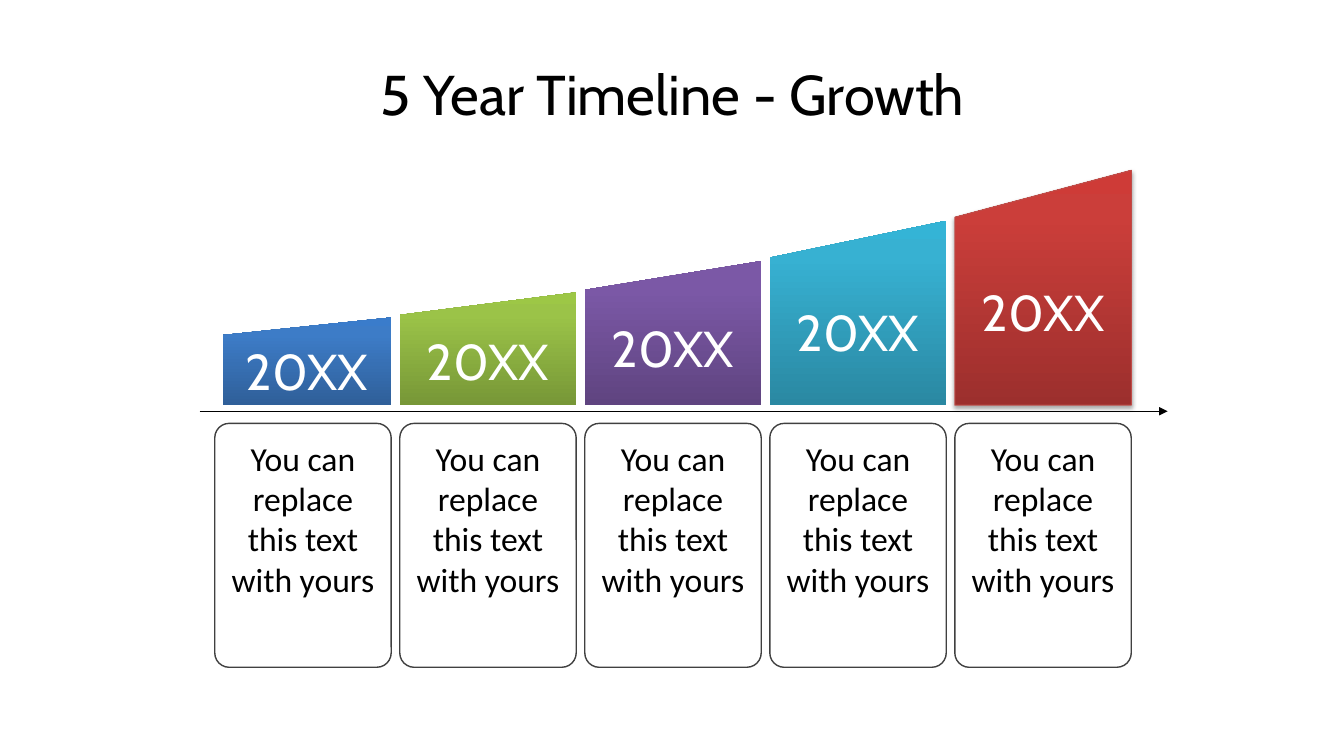
import pptx
import pptx.util
import pptx.dml.color
import pptx.enum.shapes
import pptx.enum.text
import pptx.oxml
import pptx.oxml.ns
from lxml import etree

Inches, Pt = pptx.util.Inches, pptx.util.Pt
SHAPE = pptx.enum.shapes.MSO_SHAPE
ANCHOR = pptx.enum.text.MSO_ANCHOR
qn = pptx.oxml.ns.qn

COLORS = {"black": "000000", "white": "FFFFFF", "box": "404040", "red_edge": "BF4C48"}

# Bar height and gradient stops (bottom, 80 %, top) for each year
YEARS = [
    (0.87, ("2F5F99", "3D7CC7", "3A7CCB")),
    (1.12, ("779737", "9BC348", "9DC746")),
    (1.43, ("5F4480", "7B58A6", "7C57A8")),
    (1.83, ("2A88A2", "37B1D2", "34B4D6")),
    (2.33, ("9C2F2D", "CB3E3A", "CE3B37")),
]
LEFT, PITCH, WIDTH = 2.13, 1.835, 1.75
BAR_BOTTOM = 4.02
FIRST_INSET = 0.08


def rgb(name):
    return pptx.dml.color.RGBColor.from_string(COLORS[name])


def set_text(sp, text, font, size, color, anchor):
    tf = sp.text_frame
    tf.word_wrap = True
    tf.vertical_anchor = anchor
    p = tf.paragraphs[0]
    p.text = text
    p.alignment = pptx.enum.text.PP_ALIGN.CENTER
    p.font.name = font
    p.font.size = Pt(size)
    p.font.color.rgb = rgb(color)
    return tf


def set_gradient(sp, stops):
    sp.fill.gradient()
    sp.fill.gradient_angle = 90
    gs_list = sp._element.spPr.find(qn("a:gradFill")).find(qn("a:gsLst"))
    for gs in list(gs_list):
        gs_list.remove(gs)
    for pos, color in zip((0, 80, 100), stops):
        gs = etree.SubElement(gs_list, qn("a:gs"), pos=str(pos * 1000))
        etree.SubElement(gs, qn("a:srgbClr"), val=color)


def add_shadow(sp):
    effects = sp._element.spPr.find(qn("a:effectLst"))
    shadow = etree.SubElement(effects, qn("a:outerShdw"), blurRad=str(Pt(3.1)),
                              dist=str(Pt(1.8)), dir="5400000", rotWithShape="0")
    color = etree.SubElement(shadow, qn("a:srgbClr"), val=COLORS["black"])
    etree.SubElement(color, qn("a:alpha"), val="35000")


def add_title(s, text):
    sp = s.shapes.add_textbox(Inches(0.67), Inches(0.3), Inches(12), Inches(1.25))
    set_text(sp, text, "Cabin", 40, "black", ANCHOR.MIDDLE)


def add_axis(s):
    y = Inches(4.08)
    line = s.shapes.add_connector(pptx.enum.shapes.MSO_CONNECTOR.STRAIGHT,
                                  Inches(1.98), y, Inches(11.58), y)
    line.line.color.rgb = rgb("black")
    line.line.width = Pt(0.75)
    etree.SubElement(line.line._get_or_add_ln(), qn("a:tailEnd"), type="triangle")
    etree.SubElement(line._element.spPr, qn("a:effectLst"))


def add_bar(s, x, width, height, stops):
    sp = s.shapes.add_shape(SHAPE.FLOWCHART_MANUAL_INPUT, Inches(x),
                            Inches(BAR_BOTTOM - height), Inches(width), Inches(height))
    sp.shadow.inherit = False
    set_gradient(sp, stops)
    sp.line.fill.background()
    set_text(sp, "20XX", "Cabin", 36, "white", ANCHOR.MIDDLE)
    return sp


def add_box(s, x, text):
    sp = s.shapes.add_shape(SHAPE.ROUNDED_RECTANGLE, Inches(x), Inches(4.2),
                            Inches(WIDTH), Inches(2.42))
    sp.adjustments[0] = 0.082
    sp.shadow.inherit = False
    sp.fill.background()
    sp.line.color.rgb = rgb("box")
    sp.line.width = Pt(1)
    tf = set_text(sp, text, "Calibri", 24, "black", ANCHOR.TOP)
    tf.margin_top = Inches(0.1)


def main():
    prs = pptx.Presentation()
    prs.slide_width, prs.slide_height = Inches(13.33), Inches(7.5)
    s = prs.slides.add_slide(prs.slide_layouts[6])

    add_title(s, "5 Year Timeline - Growth")
    add_axis(s)

    # Growth bars with their text boxes; the first bar is slightly narrower
    for i, (height, stops) in enumerate(YEARS):
        x = LEFT + i * PITCH
        inset = FIRST_INSET if i == 0 else 0
        bar = add_bar(s, x + inset, WIDTH - inset, height, stops)
        add_box(s, x, "You can replace this text with yours")

    # The final year stands out with an outline and a shadow
    bar.line.color.rgb = rgb("red_edge")
    bar.line.width = Pt(0.75)
    add_shadow(bar)

    prs.save("out.pptx")


if __name__ == "__main__":
    main()
